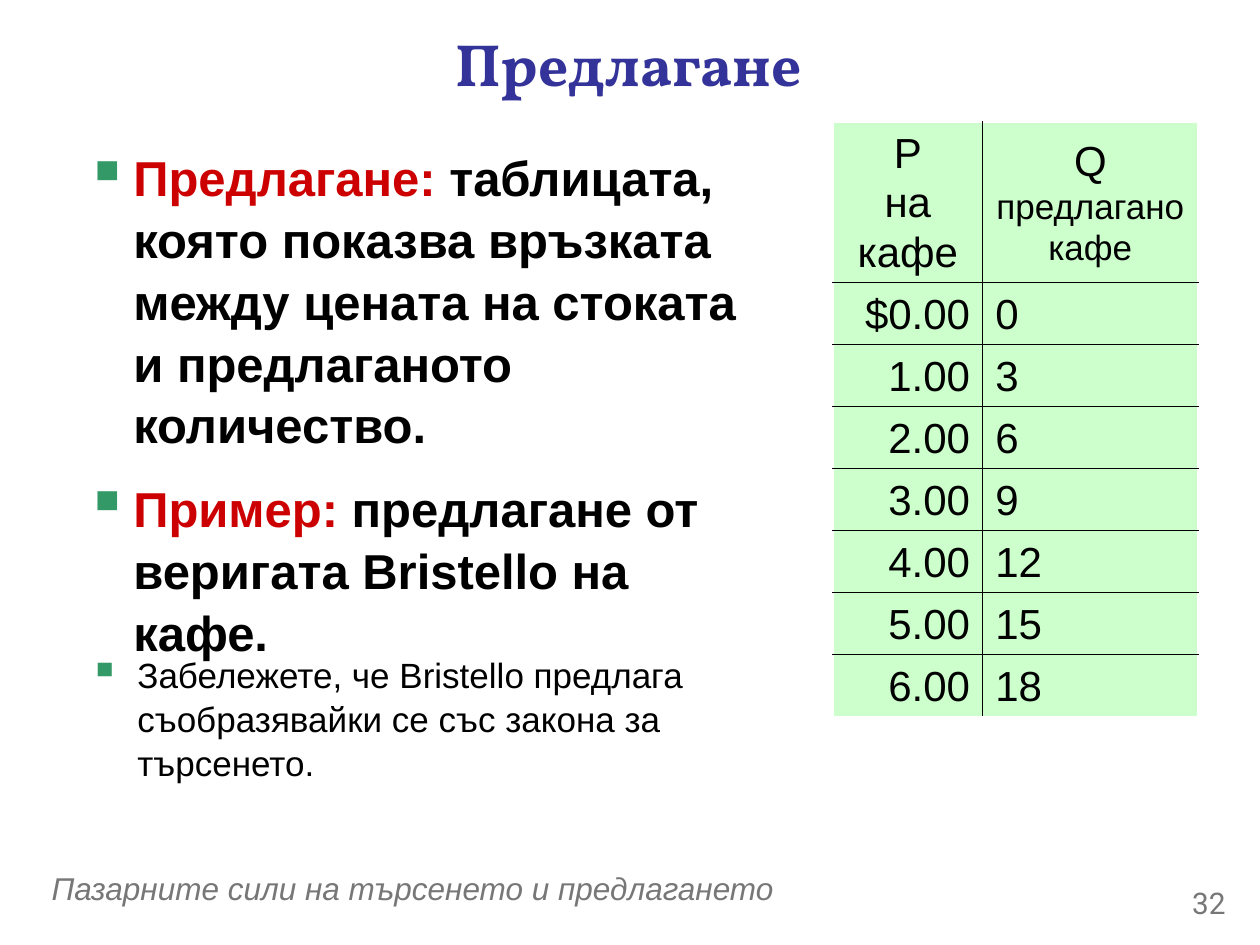
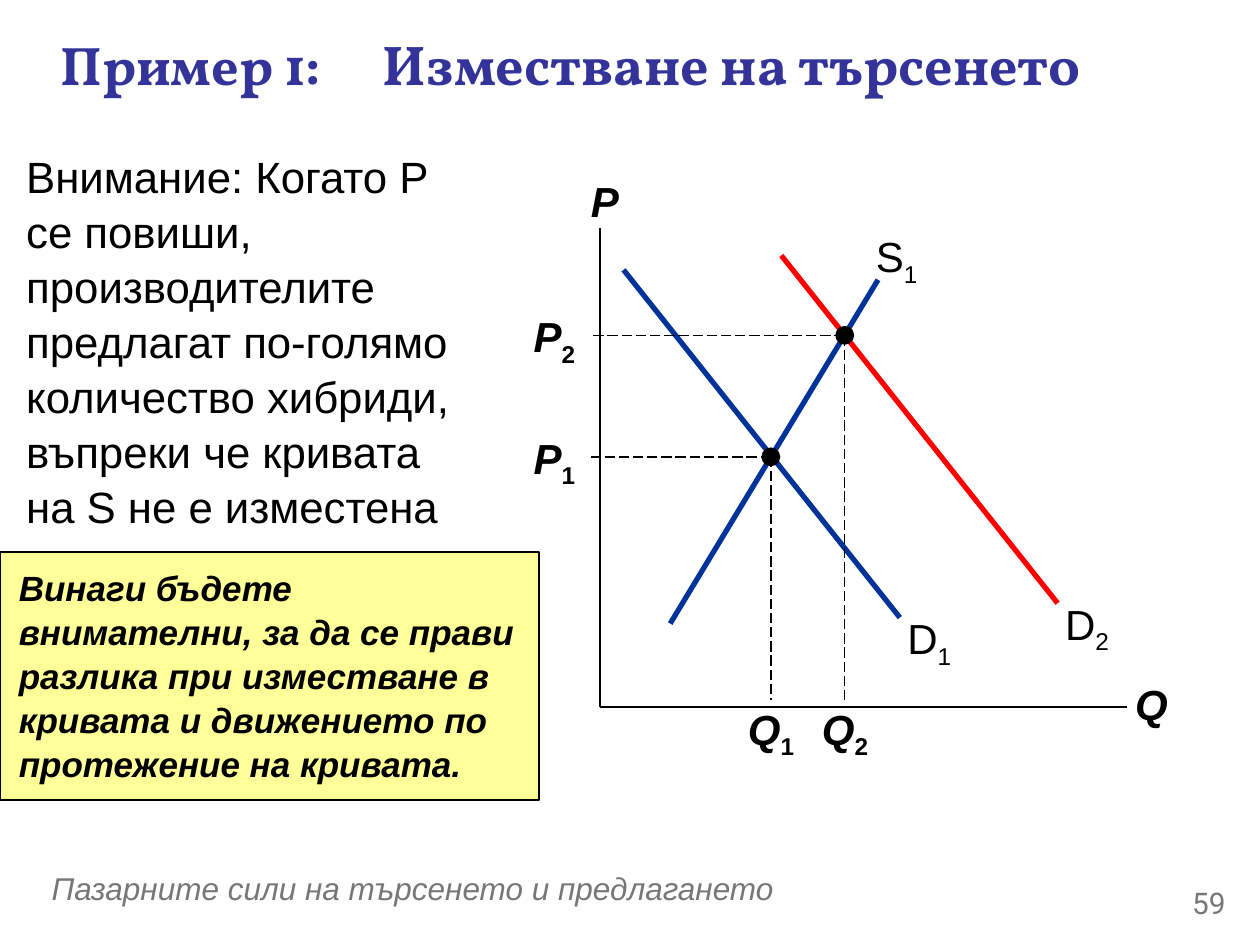
from lxml import etree
from pptx import Presentation
from pptx.dml.color import RGBColor
from pptx.enum import dml, shapes, text
from pptx.oxml import ns
from pptx.util import Cm, Pt

BLACK = RGBColor(0, 0, 0)
GREY = RGBColor(0x77, 0x77, 0x77)
INDIGO = RGBColor(0x33, 0x33, 0x99)
RED = RGBColor(0xCC, 0, 0)
GREEN = RGBColor(0x33, 0x99, 0x66)
MINT = RGBColor(0xCC, 0xFF, 0xCC)
YELLOW = RGBColor(0xFF, 0xFF, 0x99)
BLUE = RGBColor(0, 0x33, 0x99)
SCARLET = RGBColor(0xFF, 0, 0)

FOOTER = "Пазарните сили на търсенето и предлагането"
HEAD = {"name": "Vollkorn", "bold": True, "color": INDIGO}
BOLD = {"size": 28, "bold": True}
KEY = {**BOLD, "color": RED}
PLAIN = {"size": 24}
ITALIC = {"size": 24, "bold": True, "italic": True}
TIGHT = (0, 0, 0, 0)

POINTS = [
    [("Предлагане: ", KEY),
     ("таблицата, която показва връзката между цената на стоката "
      "и предлаганото количество.", BOLD)],
    [("Пример: ", KEY),
     ("предлагане от веригата Bristello на кафе.", BOLD)],
]
REMARK = [[("Забележете, че Bristello предлага съобразявайки се "
            "със закона за търсенето.", {"size": 20})]]
HEADER = [[("P\nна кафе", PLAIN)],
          [("Q\n", PLAIN), ("предлагано кафе", {"size": 20})]]
SUPPLY = [("$0.00", 0), ("1.00", 3), ("2.00", 6), ("3.00", 9),
          ("4.00", 12), ("5.00", 15), ("6.00", 18)]
COLS = (3.02, 4.34)
HEAD_ROW, ROW = 3.23, 1.25

NOTE = [[("Внимание: Когато P се повиши, производителите предлагат "
          "по-голямо количество хибриди, въпреки че кривата на S "
          "не е изместена", {"size": 25})]]
TIP = [[("Винаги бъдете внимателни, за да се прави разлика при "
         "изместване в кривата и движението по протежение на кривата.",
         {"size": 20, "bold": True, "italic": True})]]

ORIGIN = (12.09, 14.25)
AXES = [("P", (12.09, 4.6), (-0.53, -1.2)),
        ("Q", (22.71, 14.25), (-0.13, -0.71))]
START, END = (12.57, 5.44), (18.14, 12.45)
SHIFT = (3.18, -0.29)


def add(a, b):
    return a[0] + b[0], a[1] + b[1]


CURVES = [
    ("D", "1", START, END, (-0.18, -0.23), BLUE),
    ("S", "1", (13.51, 12.57), (17.7, 5.64), (-0.4, -1.12), BLUE),
    ("D", "2", add(START, SHIFT), add(END, SHIFT), (-0.18, -0.23), SCARLET),
]
CROSSES = [("1", (15.54, 9.21)), ("2", (17.03, 6.76))]


def apply(obj, vals):
    for key, val in vals.items():
        setattr(obj, key, val)


def place(shape, box):
    apply(shape, dict(zip(("left", "top", "width", "height"), map(Cm, box))))


def child(parent, tag, **attrs):
    return etree.SubElement(parent, ns.qn(tag), attrs)


def bullet(par):
    props = par._p.get_or_add_pPr()
    child(child(props, "a:buClr"), "a:srgbClr", val=str(GREEN))
    child(props, "a:buSzPct", val="120000")
    child(props, "a:buChar", char="▪")
    hang(par, 0.97)


def hang(par, size):
    props = par._p.get_or_add_pPr()
    props.set("marL", str(Cm(size)))
    props.set("indent", str(-Cm(size)))


def add_run(par, words, form):
    form = {"name": "Arial", "color": BLACK, **form}
    color, base = form.pop("color"), form.pop("base", None)
    form["size"] = Pt(form["size"])
    for i, part in enumerate(words.split("\n")):
        if i:
            par.add_line_break()
        if part:
            run = par.add_run()
            run.text = part
            apply(run.font, form)
            run.font.color.rgb = color
            if base:
                run._r.get_or_add_rPr().set("baseline", str(base))


def write(frame, pars, align=text.PP_ALIGN.LEFT, space=None, gap=0,
          marks=False):
    for i, runs in enumerate(pars):
        par = frame.add_paragraph() if i else frame.paragraphs[0]
        if marks:
            bullet(par)
        apply(par, {"alignment": align, "line_spacing": space,
                    "space_before": Pt(gap if i else 0)})
        for words, form in runs:
            add_run(par, words, form)


def set_up(frame, insets=(0.25, 0.13, 0.25, 0.13),
           anchor=text.MSO_ANCHOR.TOP):
    sides = ("margin_left", "margin_top", "margin_right", "margin_bottom")
    apply(frame, dict(zip(sides, map(Cm, insets))))
    apply(frame, {"word_wrap": True, "vertical_anchor": anchor,
                  "auto_size": text.MSO_AUTO_SIZE.NONE})


def add_text(slide, box, pars, insets=(0.25, 0.13, 0.25, 0.13),
             anchor=text.MSO_ANCHOR.TOP, **layout):
    shape = slide.shapes.add_textbox(*map(Cm, box))
    set_up(shape.text_frame, insets, anchor)
    write(shape.text_frame, pars, **layout)


def add_line(slide, start, end, color=BLACK, width=1, dash=None):
    line = slide.shapes.add_connector(
        shapes.MSO_CONNECTOR.STRAIGHT, *map(Cm, start + end))
    apply(line.line, {"width": Pt(width), "dash_style": dash})
    line.line.color.rgb = color
    child(line._element.spPr, "a:effectLst")


def add_shape(slide, kind, box, fill):
    shape = slide.shapes.add_shape(kind, *map(Cm, box))
    shape.shadow.inherit = False
    shape.fill.solid()
    shape.fill.fore_color.rgb = fill
    shape.line.fill.background()
    return shape


def label(slide, spot, size, name, form, index="", insets=(0.25, 0.13) * 2):
    runs = [(name, form)]
    if index:
        runs.append((index, {**form, "italic": False, "base": -25000}))
    add_text(slide, spot + size, [runs], insets, align=text.PP_ALIGN.CENTER)


def new_slide(deck, number, box, title, anchor, align):
    slide = deck.slides.add_slide(deck.slide_layouts[5])
    place(slide.shapes.title, box)
    frame = slide.shapes.title.text_frame
    set_up(frame, anchor=anchor)
    write(frame, [title], align)
    add_text(slide, (0.79, 17.4, 20.37, 1.02),
             [[(FOOTER, {"size": 18, "italic": True, "color": GREY})]],
             anchor=text.MSO_ANCHOR.MIDDLE)
    add_text(slide, (23.06, 17.7, 1.9, 1.02),
             [[(number, {"size": 17, "name": "Roboto", "color": GREY})]],
             align=text.PP_ALIGN.RIGHT)
    return slide


def fill_cell(cell, runs, align, edges):
    cell.vertical_anchor = text.MSO_ANCHOR.MIDDLE
    write(cell.text_frame, [runs], align, 1.05)
    props = cell._tc.get_or_add_tcPr()
    for edge in edges:
        line = child(props, "a:ln" + edge, w=str(Pt(1)))
        child(child(line, "a:solidFill"), "a:srgbClr", val=str(BLACK))
    cell.fill.solid()
    cell.fill.fore_color.rgb = MINT


def add_supply(slide):
    rows = [HEADER] + [[[(str(val), PLAIN)] for val in row] for row in SUPPLY]
    last = len(rows) - 1
    box = (16.79, 2.46, sum(COLS), HEAD_ROW + ROW * last)
    table = slide.shapes.add_table(
        len(rows), len(COLS), *map(Cm, box)).table
    apply(table, {"first_row": False, "horz_banding": False})
    for col, width in zip(table.columns, COLS):
        col.width = Cm(width)
    sides = (text.PP_ALIGN.RIGHT, text.PP_ALIGN.LEFT)
    for r, row in enumerate(rows):
        table.rows[r].height = Cm(ROW if r else HEAD_ROW)
        for c, runs in enumerate(row):
            edges = "RL"[c] + ("T" if r else "") + ("B" if r < last else "")
            align = sides[c] if r else text.PP_ALIGN.CENTER
            fill_cell(table.cell(r, c), runs, align, edges)


def add_graph(slide):
    for name, tip, off in AXES:
        add_line(slide, ORIGIN, tip)
        label(slide, add(tip, off), (1.27, 1.27), name, ITALIC)
    for name, index, start, end, off, color in CURVES:
        add_line(slide, start, end, color, 3)
        label(slide, add(end, off), (1.55, 1.27), name, PLAIN, index)
    for index, (x, y) in CROSSES:
        for end in ((11.91, y), (x, 14.12)):
            add_line(slide, (x, y), end, width=0.75,
                     dash=dml.MSO_LINE.LONG_DASH)
        add_shape(slide, shapes.MSO_SHAPE.OVAL,
                  (x - 0.19, y - 0.19, 0.38, 0.38), BLACK)
        for name, spot in (("P", (10.5, y - 0.5)), ("Q", (x - 0.67, 14.18))):
            label(slide, spot, (1.35, 1.02), name, ITALIC, index, TIGHT)


def main():
    deck = Presentation()
    apply(deck, {"slide_width": Cm(25.4), "slide_height": Cm(19.05)})

    slide = new_slide(deck, "32", (0.61, 0, 24.13, 2.51),
                      [("Предлагане", {**HEAD, "size": 34})],
                      text.MSO_ANCHOR.MIDDLE, text.PP_ALIGN.CENTER)
    add_text(slide, (1.47, 2.79, 14.17, 9.8), POINTS,
             space=1.05, gap=12.6, marks=True)
    add_text(slide, (1.55, 13, 13.44, 4.32), REMARK, space=1.05, marks=True)
    add_supply(slide)

    slide = new_slide(deck, "59", (0.97, 0.46, 23.19, 3.18),
                      [("Пример 1:", {**HEAD, "size": 31}),
                       ("\tИзместване на търсенето", {**HEAD, "size": 32})],
                      text.MSO_ANCHOR.TOP, text.PP_ALIGN.LEFT)
    hang(slide.shapes.title.text_frame.paragraphs[0], 6.5)
    add_graph(slide)
    add_text(slide, (0.28, 2.84, 9.37, 8.1), NOTE, space=1.05)
    tip = add_shape(slide, shapes.MSO_SHAPE.RECTANGLE,
                    (0, 11.13, 10.87, 5), YELLOW)
    tip.line.color.rgb = BLACK
    tip.line.width = Pt(0.75)
    set_up(tip.text_frame, (0.38, 0.25, 0.25, 0.25))
    write(tip.text_frame, TIP, space=1.05)
    deck.save("out.pptx")


if __name__ == "__main__":
    main()
